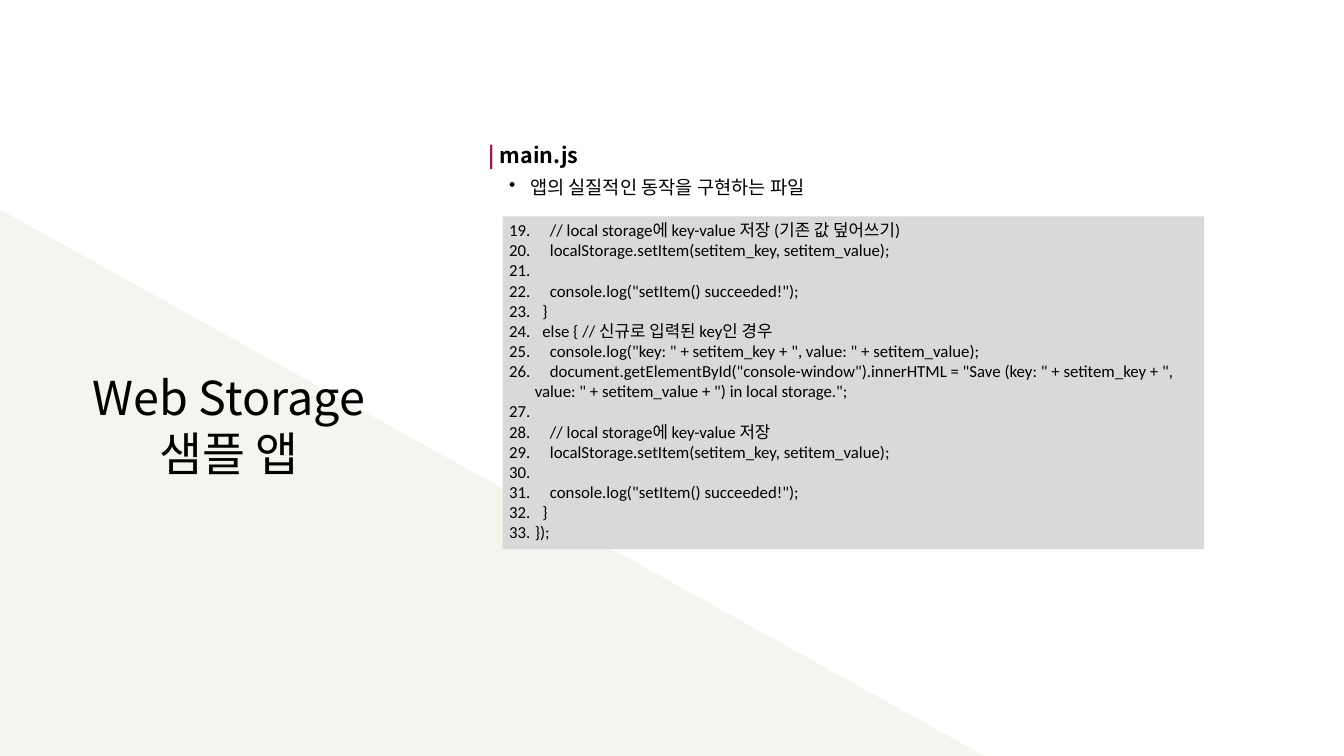
import dataclasses
import typing

import lxml.etree
import pptx
import pptx.dml.color
import pptx.enum.shapes
import pptx.enum.text
import pptx.oxml.ns
import pptx.util

COLUMN = pptx.util.Inches(0.2)
ROW = pptx.util.Inches(0.15)
COLUMNS, ROWS = 100, 75
LINE_HEIGHT = 1.2
FIRST_LINE_NUMBER = 19

COLORS = {
    "white": "FFFFFF",
    "cream": "F6F4EF",
    "gray": "D9D9D9",
    "crimson": "A50034",
    "black": "000000",
}
KOREAN_FONT = "Noto Sans CJK KR"
CODE_FONT = "Calibri"

CODE_LINES = """\
    // local storage에 key-value 저장 (기존 값 덮어쓰기)
    localStorage.setItem(setitem_key, setitem_value);

    console.log("setItem() succeeded!");
  }
  else { // 신규로 입력된 key인 경우
    console.log("key: " + setitem_key + ", value: " + setitem_value);
    document.getElementById("console-window").innerHTML = "Save (key: " + setitem_key + ", value: " + setitem_value + ") in local storage.";

    // local storage에 key-value 저장
    localStorage.setItem(setitem_key, setitem_value);

    console.log("setItem() succeeded!");
  }
});""".split("\n")


class Area(typing.NamedTuple):
    column: float
    row: float
    columns: float
    rows: float

    def lengths(self) -> list[int]:
        return [
            round(self.column * COLUMN),
            round(self.row * ROW),
            round(self.columns * COLUMN),
            round(self.rows * ROW),
        ]


class Span(typing.NamedTuple):
    text: str
    color: str = "black"


class Marker(typing.NamedTuple):
    tag: str
    attributes: dict[str, str]
    indent: float


@dataclasses.dataclass
class TextBlock:
    area: Area
    lines: list[list[Span]]
    size: float
    font: str = KOREAN_FONT
    bold: bool = False
    align: typing.Any = pptx.enum.text.PP_ALIGN.LEFT
    marker: Marker | None = None
    fill: str | None = None
    wrap: bool = True
    top_margin: float = 0.05


def color_of(name: str) -> pptx.dml.color.RGBColor:
    return pptx.dml.color.RGBColor.from_string(COLORS[name])


def apply_format(target: typing.Any, values: dict[str, typing.Any]) -> None:
    for name, value in values.items():
        setattr(target, name, value)


def draw_shape(slide: typing.Any, kind: typing.Any, area: Area, fill: str) -> typing.Any:
    shape = slide.shapes.add_shape(kind, *area.lengths())
    shape.shadow.inherit = False
    shape.fill.solid()
    shape.fill.fore_color.rgb = color_of(fill)
    shape.line.fill.background()
    return shape


def add_marker(paragraph: typing.Any, marker: Marker) -> None:
    properties = paragraph._p.get_or_add_pPr()
    indent = pptx.util.Inches(marker.indent)
    properties.set("marL", str(indent))
    properties.set("indent", str(-indent))
    lxml.etree.SubElement(properties, pptx.oxml.ns.qn(marker.tag), marker.attributes)


def add_span(paragraph: typing.Any, span: Span, block: TextBlock) -> None:
    run = paragraph.add_run()
    run.text = span.text
    apply_format(run.font, {
        "name": block.font,
        "size": pptx.util.Pt(block.size),
        "bold": block.bold,
    })
    run.font.color.rgb = color_of(span.color)
    lxml.etree.SubElement(
        run._r.get_or_add_rPr(), pptx.oxml.ns.qn("a:ea"), {"typeface": KOREAN_FONT}
    )


def draw_text(slide: typing.Any, block: TextBlock) -> None:
    if block.fill:
        rectangle = pptx.enum.shapes.MSO_SHAPE.RECTANGLE
        shape = draw_shape(slide, rectangle, block.area, block.fill)
    else:
        shape = slide.shapes.add_textbox(*block.area.lengths())
    frame = shape.text_frame
    apply_format(frame, {
        "word_wrap": block.wrap,
        "vertical_anchor": pptx.enum.text.MSO_ANCHOR.TOP,
        "margin_top": pptx.util.Inches(block.top_margin),
    })
    for index, line in enumerate(block.lines):
        paragraph = frame.add_paragraph() if index else frame.paragraphs[0]
        apply_format(paragraph, {
            "alignment": block.align,
            "line_spacing": pptx.util.Pt(LINE_HEIGHT * block.size),
        })
        if block.marker:
            add_marker(paragraph, block.marker)
        for span in line:
            add_span(paragraph, span, block)


TEXT_BLOCKS = [
    TextBlock(
        Area(35.85, 13.8, 47.1, 3.27),
        [[Span("| ", "crimson"), Span("main.js")]],
        size=23,
        bold=True,
    ),
    TextBlock(
        Area(37.4, 21.47, 52.2, 33),
        [[Span(line or " ")] for line in CODE_LINES],
        size=18,
        font=CODE_FONT,
        marker=Marker(
            "a:buAutoNum",
            {"type": "arabicPeriod", "startAt": str(FIRST_LINE_NUMBER)},
            0.38,
        ),
        fill="gray",
    ),
    TextBlock(
        Area(37.4, 17.13, 23.85, 2.93),
        [[Span("앱의 실질적인 동작을 구현하는 파일")]],
        size=20,
        marker=Marker("a:buChar", {"char": "•"}, 0.31),
        wrap=False,
    ),
    TextBlock(
        Area(5.15, 35.87, 23.75, 11.87),
        [[Span("Web Storage")], [Span("샘플 앱")]],
        size=50,
        align=pptx.enum.text.PP_ALIGN.CENTER,
        top_margin=0.11,
    ),
]


def main() -> None:
    presentation = pptx.Presentation()
    apply_format(presentation, {
        "slide_width": COLUMNS * COLUMN,
        "slide_height": ROWS * ROW,
    })
    slide = presentation.slides.add_slide(presentation.slide_layouts[6])
    slide.background.fill.solid()
    slide.background.fill.fore_color.rgb = color_of("white")

    triangle_top = 20.8
    triangle = draw_shape(
        slide,
        pptx.enum.shapes.MSO_SHAPE.ISOSCELES_TRIANGLE,
        Area(0, triangle_top, 73.25, ROWS - triangle_top),
        "cream",
    )
    triangle.adjustments[0] = 0

    for block in TEXT_BLOCKS:
        draw_text(slide, block)
    presentation.save("out.pptx")


if __name__ == "__main__":
    main()
